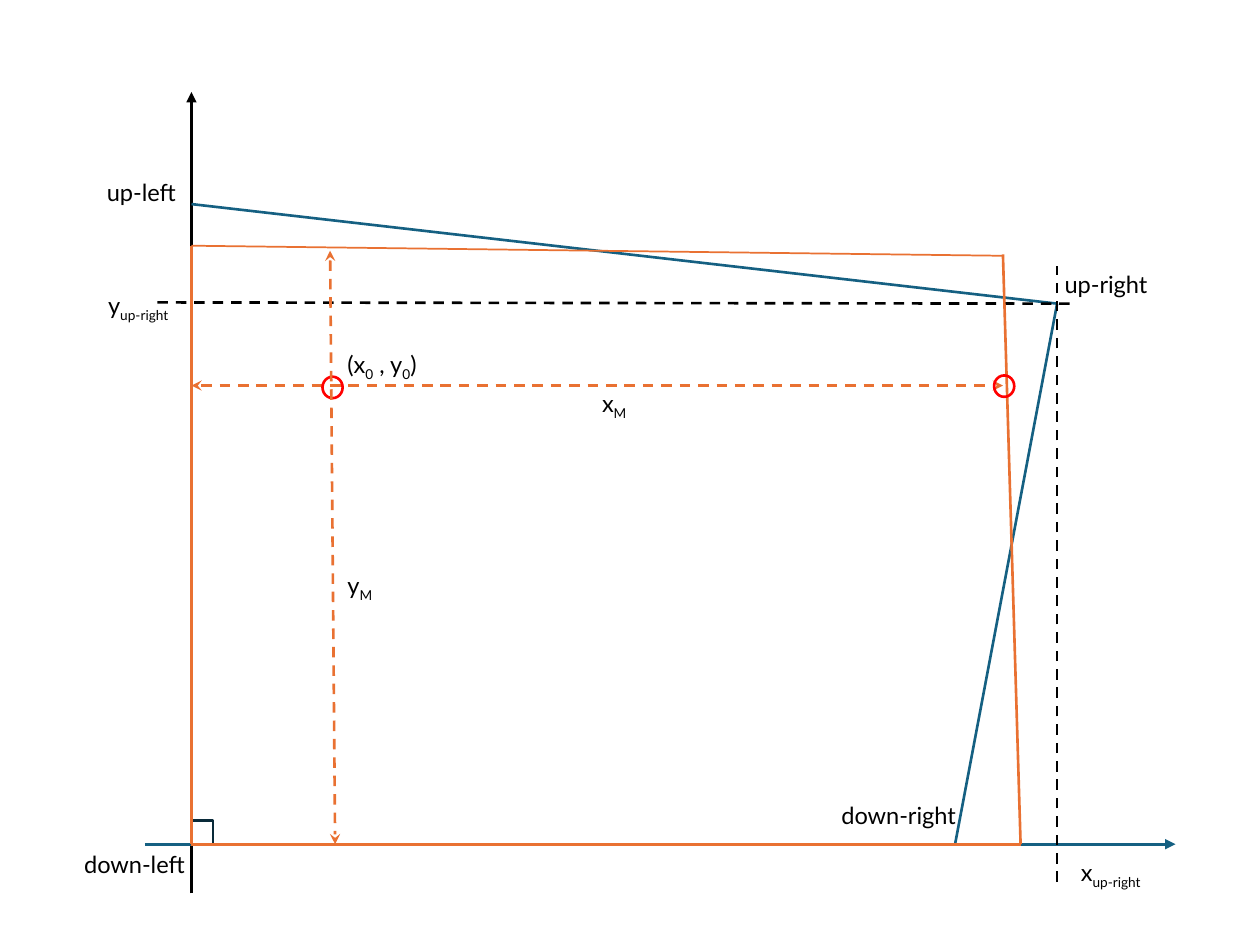
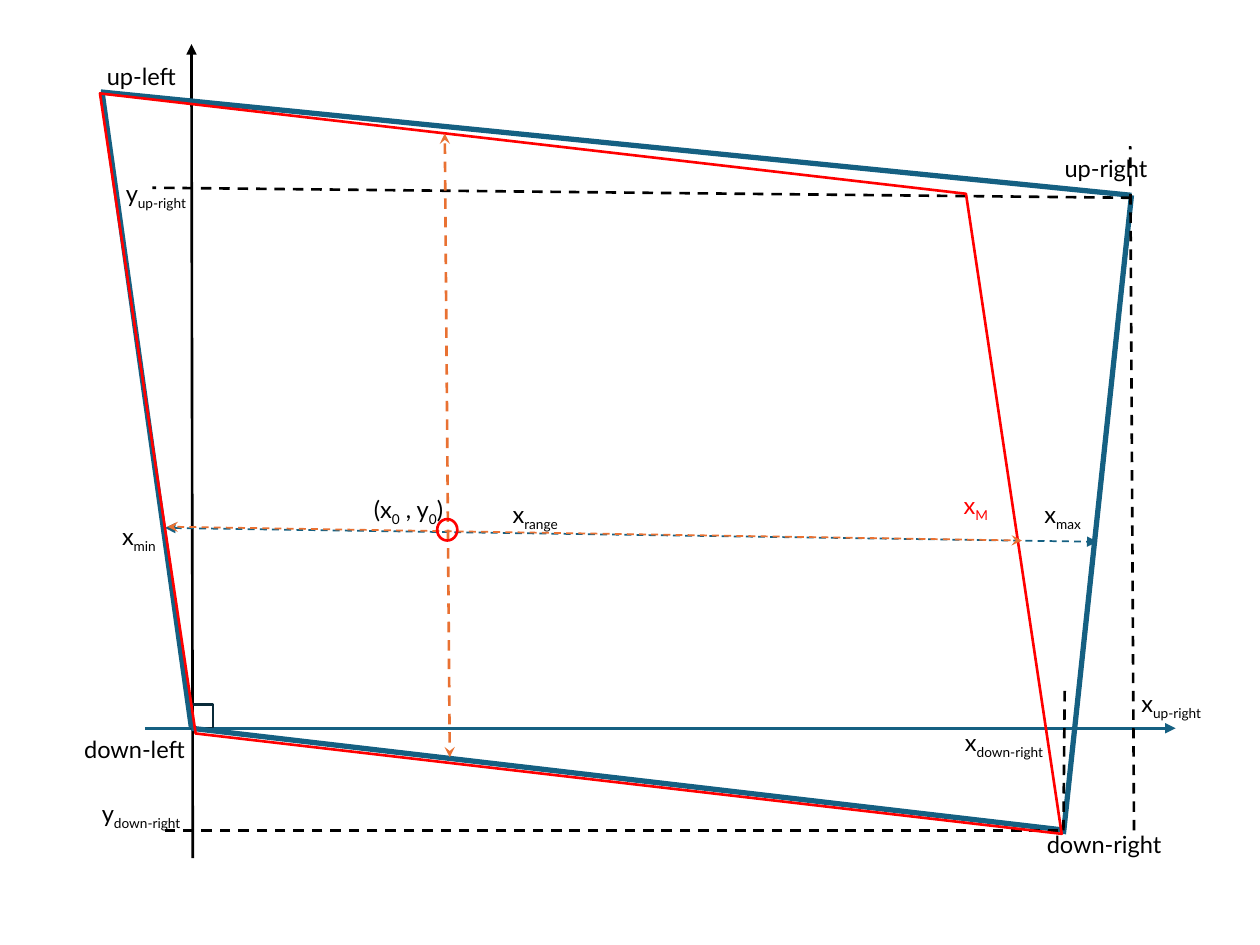
import pptx
import pptx.dml.color
import pptx.enum.dml
import pptx.enum.shapes
import pptx.enum.text
import pptx.oxml.ns
import pptx.util
from lxml import etree

COLORS = {
    "ink": "000000",
    "blue": "156082",
    "navy": "092A39",
    "orange": "E97132",
    "red": "FF0000",
}
FONT = "Lato"
TEXT_SIZE = 13.5
THIN, NORMAL, THICK = 1, 1.5, 3
COLUMNS, ROWS = 100, 75
ORIGIN = 15.2
CIRCLE = (1.6, 1.7)
LABEL_HEIGHT = 3.3
NARROW, MEDIUM, WIDE = 7.7, 9.5, 11.7
SHAPES = pptx.enum.shapes.MSO_SHAPE


def rgb(color):
    return pptx.dml.color.RGBColor.from_string(COLORS[color])


class Diagram:
    """Draws on the current slide; every length counts grid columns or rows."""

    def __init__(self, presentation):
        self.presentation = presentation
        self.column = presentation.slide_width / COLUMNS
        self.row = presentation.slide_height / ROWS
        self.slide = None

    def new_slide(self):
        self.slide = self.presentation.slides.add_slide(self.presentation.slide_layouts[6])

    def across(self, columns):
        return pptx.util.Emu(round(columns * self.column))

    def down(self, rows):
        return pptx.util.Emu(round(rows * self.row))

    def box(self, left, top, width, height):
        return self.across(left), self.down(top), self.across(width), self.down(height)

    def line(self, start, end, color="ink", width=NORMAL, dashed=False, head=None, tail=None):
        connector = self.slide.shapes.add_connector(
            pptx.enum.shapes.MSO_CONNECTOR.STRAIGHT,
            self.across(start[0]), self.down(start[1]),
            self.across(end[0]), self.down(end[1]))
        connector.line.color.rgb = rgb(color)
        connector.line.width = pptx.util.Pt(width)
        if dashed:
            connector.line.dash_style = pptx.enum.dml.MSO_LINE.DASH
        properties = connector._element.spPr
        outline = properties.find(pptx.oxml.ns.qn("a:ln"))
        for tag, arrow in (("a:headEnd", head), ("a:tailEnd", tail)):
            if arrow:
                etree.SubElement(outline, pptx.oxml.ns.qn(tag), type=arrow)
        etree.SubElement(properties, pptx.oxml.ns.qn("a:effectLst"))

    def span(self, start, end, color="orange", width=NORMAL, arrow="stealth"):
        """Dashed measure with an arrowhead at both ends."""
        self.line(start, end, color, width, dashed=True, head=arrow, tail=arrow)

    def path_of_lines(self, points, color, width=NORMAL):
        for start, end in zip(points, points[1:]):
            self.line(start, end, color, width)

    def outline(self, kind, left, top, width, height, color="red"):
        shape = self.slide.shapes.add_shape(kind, *self.box(left, top, width, height))
        shape.shadow.inherit = False
        shape.fill.background()
        shape.line.color.rgb = rgb(color)
        shape.line.width = pptx.util.Pt(NORMAL)
        return shape

    def circle(self, left, top):
        self.outline(SHAPES.OVAL, left, top, *CIRCLE)

    def label(self, text, left, top, width=MEDIUM, color="ink", size=TEXT_SIZE):
        """Add text in which each part between bars is a subscript."""
        shape = self.slide.shapes.add_textbox(*self.box(left, top, width, LABEL_HEIGHT))
        frame = shape.text_frame
        frame.word_wrap = True
        frame.auto_size = pptx.enum.text.MSO_AUTO_SIZE.SHAPE_TO_FIT_TEXT
        paragraph = frame.paragraphs[0]
        for index, part in enumerate(text.split("|")):
            if not part:
                continue
            run = paragraph.add_run()
            run.text = part
            run.font.name = FONT
            run.font.size = pptx.util.Pt(size)
            run.font.color.rgb = rgb(color)
            if index % 2:
                run._r.get_or_add_rPr().set("baseline", "-25000")

    def axes(self, baseline, bottom, top):
        """Both axes, the right angle, and the labels that move with the x axis."""
        self.line(bottom, top, tail="triangle")
        self.line((11.5, baseline), (93.3, baseline), "blue", tail="triangle")
        self.outline(SHAPES.RECTANGLE, ORIGIN, baseline - 1.9, 1.7, 1.9, "navy")
        self.label("up-left", 7.5, baseline - 53.4, NARROW)
        self.label("down-left", 5.7, baseline, WIDE)
        self.label("up-right", 83.5, baseline - 46.1)


def draw_right_angled_area(diagram):
    baseline = 67
    diagram.new_slide()
    diagram.axes(baseline, (ORIGIN, 70.9), (ORIGIN, 7.3))
    diagram.path_of_lines([(ORIGIN, 16.2), (83.9, 24.1), (75.8, baseline)], "blue")
    diagram.line((84.9, 24.1), (12.3, 24), dashed=True)
    diagram.line((83.9, 70), (83.9, 21.1), dashed=True)
    diagram.label("down-right", 65.8, 63.1, WIDE)
    diagram.label("x|up-right|", 84.8, 67.6)
    diagram.label("y|up-right|", 7.6, 22.6)

    diagram.line((ORIGIN, 19.5), (79.6, 20.3), "orange", THIN)
    diagram.path_of_lines(
        [(79.6, 20.2), (81, baseline), (ORIGIN, baseline), (ORIGIN, 19.5)], "orange")
    diagram.span((ORIGIN, 30.6), (79.6, 30.6))
    diagram.label("x|M|", 46.8, 30.4, NARROW)
    diagram.circle(25.6, 29.9)
    diagram.circle(78.9, 29.8)
    diagram.span((26.2, 19.9), (26.6, baseline))
    diagram.label("y|M|", 26.6, 44.8, NARROW)
    diagram.label("(x|0| , y|0|)", 26.6, 27.3, NARROW)


def draw_skewed_area(diagram):
    baseline = 57.8
    diagram.new_slide()
    diagram.axes(baseline, (15.3, 68.1), (ORIGIN, 3.5))
    diagram.path_of_lines([(8, 7.3), (89.8, 15.5), (84.4, 66.2)], "blue", THICK)
    diagram.line((89.8, 15.7), (12.1, 14.9), dashed=True)
    diagram.line((90, 65.9), (89.7, 11.6), dashed=True)
    diagram.label("down-right", 82.1, 65.4, WIDE)
    diagram.label("x|up-right|", 89.6, 54.2)
    diagram.label("y|up-right|", 9, 13.7)
    diagram.path_of_lines([(84.6, 65.9), (ORIGIN, baseline), (8.1, 7.3)], "blue", THICK)
    diagram.line((84, 65.9), (13.1, 65.9), dashed=True)
    diagram.line((84.4, 65.9), (84.5, 54.8), dashed=True)
    diagram.label("x|down-right|", 75.6, 57.3)
    diagram.label("y|down-right|", 7.1, 62.9)

    diagram.span((13.1, 41.9), (87.1, 43), "blue", THIN, "triangle")
    diagram.label("x|range|", 39.7, 39.2)
    reachable_area = diagram.outline(SHAPES.PARALLELOGRAM, 11.4, 3.4, 69.4, 66.8)
    reachable_area.adjustments[0] = 0.27
    reachable_area.rotation = 81.5
    diagram.span((13.3, 41.8), (81.1, 42.9), width=THIN)
    diagram.label("x|M|", 75.5, 38.5, color="red")
    diagram.label("x|max|", 81.9, 39.2)
    diagram.label("x|min|", 8.7, 40.9)
    diagram.span((35.3, 10.6), (35.7, 60.1))
    diagram.circle(34.7, 41.2)
    diagram.label("(x|0| , y|0|)", 28.7, 38.8, NARROW)


def main():
    presentation = pptx.Presentation()
    presentation.slide_width = pptx.util.Inches(10)
    presentation.slide_height = pptx.util.Inches(7.5)
    diagram = Diagram(presentation)
    draw_right_angled_area(diagram)
    draw_skewed_area(diagram)
    presentation.save("out.pptx")


if __name__ == "__main__":
    main()
